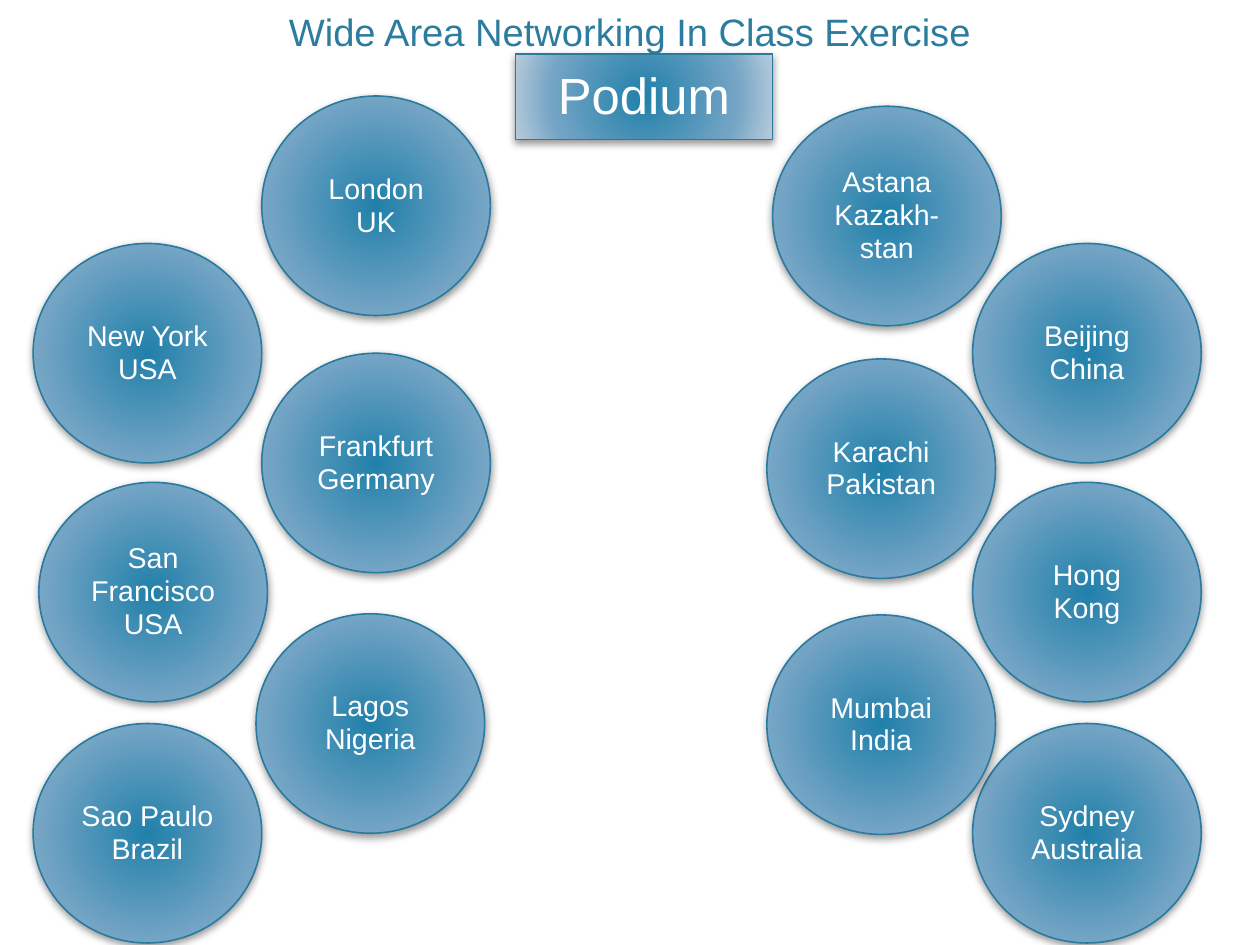
from lxml import etree
from pptx import Presentation, util as u
from pptx.dml.color import RGBColor
from pptx.enum import shapes, text
from pptx.oxml import parse_xml
from pptx.oxml.ns import qn

TITLE_BLUE = RGBColor(0x2C, 0x7C, 0x9F)
OUTLINE_BLUE = RGBColor(0x28, 0x7A, 0x9E)
WHITE = RGBColor(0xFF, 0xFF, 0xFF)
NAMESPACE = 'xmlns:a="http://schemas.openxmlformats.org/drawingml/2006/main"'
STOPS = [(0, RGBColor(0x21, 0x80, 0xAA)), (69, RGBColor(0x75, 0xA5, 0xC5)),
         (100, RGBColor(0xB8, 0xCC, 0xDC))]
GRADIENT = (
    f'<a:gradFill {NAMESPACE} rotWithShape="1"><a:gsLst>'
    + "".join(f'<a:gs pos="{share * 1000}"><a:srgbClr val="{color}"/></a:gs>'
              for share, color in STOPS)
    + '</a:gsLst><a:path path="circle">'
    '<a:fillToRect l="100000" t="100000" r="100000" b="100000"/></a:path></a:gradFill>')
SHADOW = (
    f'<a:outerShdw {NAMESPACE} blurRad="{u.Pt(5)}" dist="{u.Pt(2)}" dir="5400000" '
    'rotWithShape="0"><a:srgbClr val="000000"><a:alpha val="40000"/></a:srgbClr></a:outerShdw>')

presentation = Presentation()
presentation.slide_width = u.Cm(28)
presentation.slide_height = u.Cm(21)
slide = presentation.slides.add_slide(presentation.slide_layouts[6])


def write(shape, words, size, color, anchor):
    frame = shape.text_frame
    frame.text = words
    frame.word_wrap = True
    frame.vertical_anchor = anchor
    paragraph = frame.paragraphs[0]
    paragraph.alignment = text.PP_ALIGN.CENTER
    font = paragraph.runs[0].font
    font.name = "Arial"
    font.size = u.Pt(size)
    font.color.rgb = color
    return paragraph


def add_place(kind, words, size, left, top, width, height):
    shape = slide.shapes.add_shape(kind, *map(u.Inches, (left, top, width, height)))
    shape.fill.background()
    properties = shape.fill._xPr
    properties.replace(properties.find(qn("a:noFill")), parse_xml(GRADIENT))
    shape.line.color.rgb = OUTLINE_BLUE
    shape.line.width = u.Pt(1)
    shape.shadow.inherit = False
    properties.find(qn("a:effectLst")).append(etree.fromstring(SHADOW))
    paragraph = write(shape, words, size, WHITE, text.MSO_ANCHOR.MIDDLE)
    paragraph.line_spacing = 0.96


title = slide.shapes.add_textbox(*map(u.Inches, (0.55, -0.87, 9.92, 1.38)))
title.text_frame.margin_left = title.text_frame.margin_right = u.Inches(0.11)
title.text_frame.margin_top = u.Inches(0.06)
title.text_frame.margin_bottom = u.Inches(0.04)
write(title, "Wide Area Networking In Class Exercise", 24, TITLE_BLUE, text.MSO_ANCHOR.BOTTOM)

add_place(shapes.MSO_SHAPE.RECTANGLE, "Podium", 32, 4.51, 0.47, 2.25, 0.75)

OUTER_ROWS = [2.13, 4.22, 6.33]
INNER_ROWS = [0.84, 3.09, 5.37]
NUDGE = 0.05
cities = [
    ("London UK", 2.29, INNER_ROWS[0]),
    ("New York USA", 0.29, OUTER_ROWS[0]),
    ("Sydney Australia", 8.51, OUTER_ROWS[2]),
    ("Mumbai India", 6.71, INNER_ROWS[2] + 0.01),
    ("Hong Kong", 8.51, OUTER_ROWS[1]),
    ("Karachi Pakistan", 6.71, INNER_ROWS[1] + NUDGE),
    ("Beijing China", 8.51, OUTER_ROWS[0]),
    ("Astana Kazakh-stan", 6.71 + NUDGE, 0.93),
    ("Frankfurt Germany", 2.29, INNER_ROWS[1]),
    ("San Francisco USA", 0.29 + NUDGE, OUTER_ROWS[1]),
    ("Lagos Nigeria", 2.29 - NUDGE, INNER_ROWS[2]),
    ("Sao Paulo Brazil", 0.29, OUTER_ROWS[2]),
]
for city, left, top in cities:
    add_place(shapes.MSO_SHAPE.OVAL, city, 18, left, top, 2, 1.92)

presentation.save("out.pptx")
